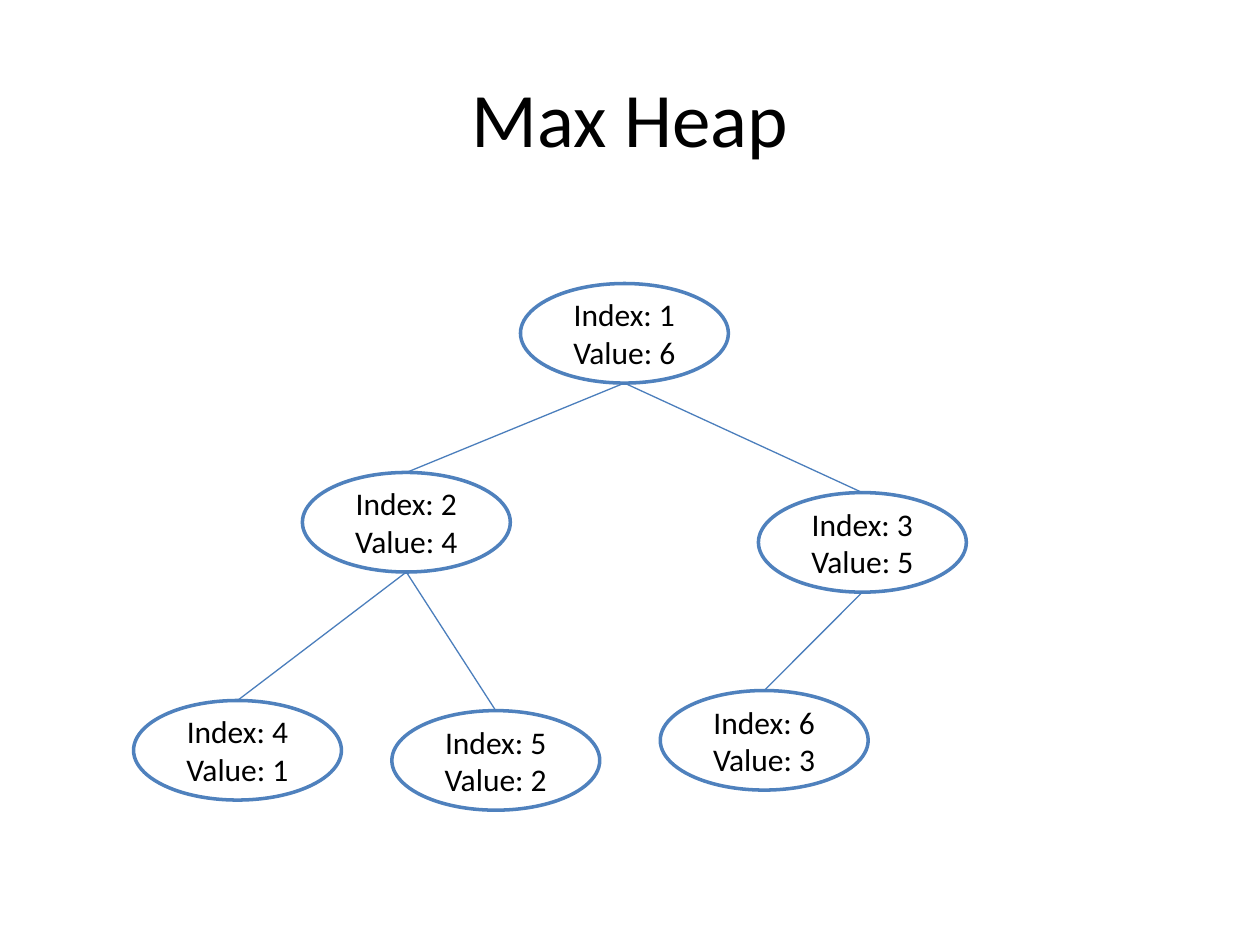
from pptx import Presentation
from pptx import util as u
from pptx.dml.color import RGBColor
from pptx.enum import shapes, text
from pptx.oxml.ns import qn
from lxml import etree

FONT = "Calibri"
NODE_WIDTH, NODE_HEIGHT = 118.8, 56.9

# Heap in index order: value, left, top
NODES = [
    (6, 297.4, 162),
    (4, 172.8, 270),
    (5, 433.4, 281.5),
    (1, 76.3, 400.3),
    (2, 223.9, 406.1),
    (3, 377.3, 394.6),
]


def color(code):
    return RGBColor.from_string(code)


def write(shape, content, size):
    """Set centred black text, one paragraph per line."""
    frame = shape.text_frame
    frame.word_wrap = True
    frame.vertical_anchor = text.MSO_ANCHOR.MIDDLE
    frame.text = content
    for para in frame.paragraphs:
        para.alignment = text.PP_ALIGN.CENTER
        for span in para.runs:
            span.font.name = FONT
            span.font.size = u.Pt(size)
            span.font.color.rgb = color("000000")


def add_title(page, content):
    box = page.shapes.add_textbox(u.Pt(36), u.Pt(21.6), u.Pt(648), u.Pt(90))
    write(box, content, 44)


def add_node(page, index, value, left, top):
    node = page.shapes.add_shape(
        shapes.MSO_SHAPE.OVAL, u.Pt(left), u.Pt(top),
        u.Pt(NODE_WIDTH), u.Pt(NODE_HEIGHT))
    node.shadow.inherit = False
    node.fill.solid()
    node.fill.fore_color.rgb = color("FFFFFF")
    node.line.color.rgb = color("4F81BD")
    node.line.width = u.Pt(2)
    write(node, f"Index: {index}\nValue: {value}", 18)
    return node


def add_edge(page, parent, child):
    """Join the bottom of the parent to the top of the child."""
    edge = page.shapes.add_connector(
        shapes.MSO_CONNECTOR.STRAIGHT,
        parent.left + parent.width // 2, parent.top + parent.height,
        child.left + child.width // 2, child.top)
    edge.line.color.rgb = color("4B7EBC")
    edge.line.width = u.Pt(0.75)
    etree.SubElement(edge._element.spPr, qn("a:effectLst"))


def main():
    deck = Presentation()
    deck.slide_width, deck.slide_height = u.Pt(720), u.Pt(540)
    page = deck.slides.add_slide(deck.slide_layouts[6])

    # Tree: the parent of index i is i // 2
    nodes = {}
    for index, (value, left, top) in enumerate(NODES, start=1):
        nodes[index] = add_node(page, index, value, left, top)
    for index in range(2, len(NODES) + 1):
        add_edge(page, nodes[index // 2], nodes[index])

    # Heading
    add_title(page, "Max Heap")
    deck.save("out.pptx")


main()
